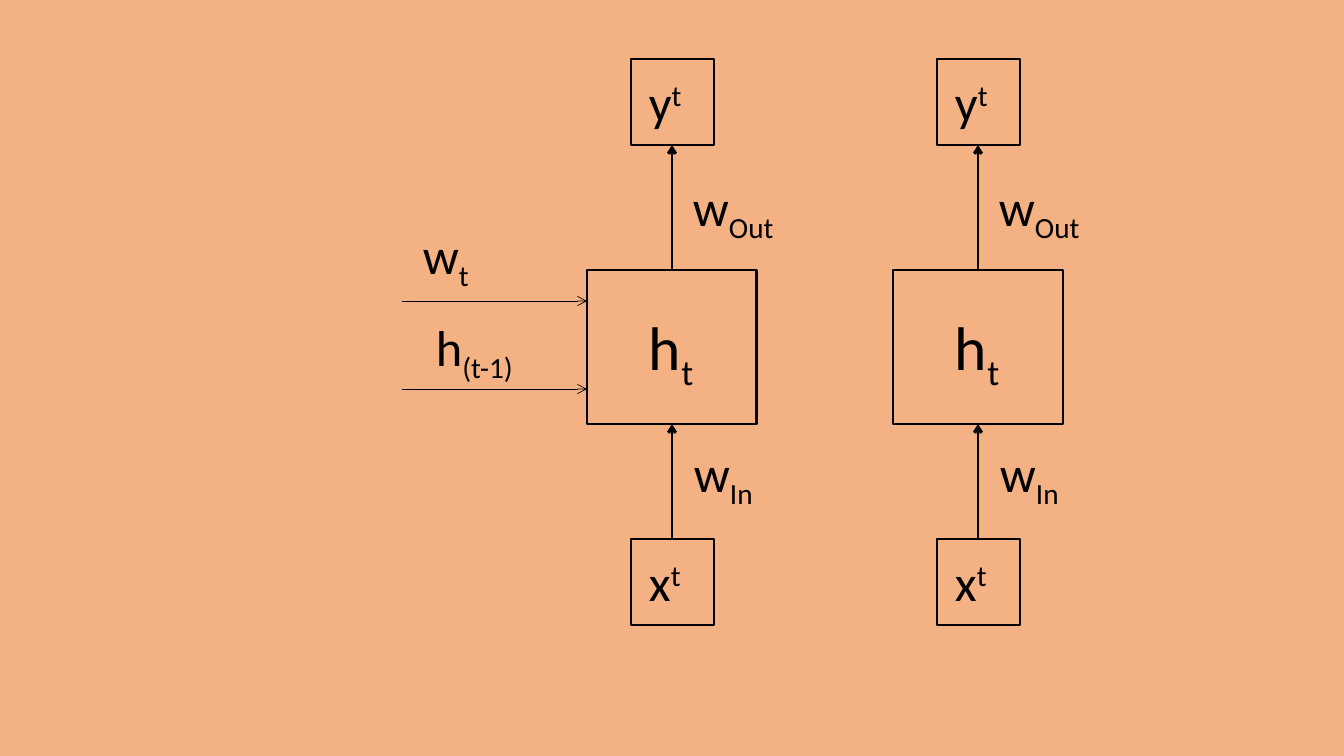
import pptx
import pptx.util
import pptx.dml.color
import pptx.enum.shapes
import pptx.enum.text
import pptx.oxml.ns
import lxml.etree

SCALE = 914400 / 100.8  # EMU per pixel
COLORS = {"background": "F4B183", "ink": "000000"}
SUB, SUPER = -25000, 30000


def px(n):
    return pptx.util.Emu(round(n * SCALE))


def rgb(name):
    return pptx.dml.color.RGBColor.from_string(COLORS[name])


class Diagram:
    font = "Calibri"

    def __init__(self, slide):
        self.slide = slide
        slide.background.fill.solid()
        slide.background.fill.fore_color.rgb = rgb("background")

    def style_line(self, line, width):
        line.color.rgb = rgb("ink")
        line.width = pptx.util.Pt(width)

    def box(self, x, y, w, h):
        s = self.slide.shapes.add_shape(
            pptx.enum.shapes.MSO_SHAPE.RECTANGLE, px(x), px(y), px(w), px(h))
        s.shadow.inherit = False
        s.fill.background()
        self.style_line(s.line, 2)

    def arrow(self, x1, y1, x2, y2, width=2):
        s = self.slide.shapes.add_connector(
            pptx.enum.shapes.MSO_CONNECTOR.STRAIGHT, px(x1), px(y1), px(x2), px(y2))
        self.style_line(s.line, width)
        qn = pptx.oxml.ns.qn
        lxml.etree.SubElement(s.line._get_or_add_ln(), qn("a:tailEnd"), type="arrow")
        lxml.etree.SubElement(s._element.spPr, qn("a:effectLst"))

    def label(self, x, y, base, script, shift, w=159, h=72, size=36):
        s = self.slide.shapes.add_textbox(px(x), px(y), px(w), px(h))
        tf = s.text_frame
        tf.word_wrap = True
        tf.auto_size = pptx.enum.text.MSO_AUTO_SIZE.SHAPE_TO_FIT_TEXT
        p = tf.paragraphs[0]
        for text in (base, script):
            r = p.add_run()
            r.text = text
            r.font.name = self.font
            r.font.size = pptx.util.Pt(size)
            r.font.color.rgb = rgb("ink")
        r._r.get_or_add_rPr().set("baseline", str(shift))

    def cell(self, cx):
        """One recurrent unit centred on cx: input, hidden state, output."""
        # Boxes
        self.box(cx - 85, 270, 170, 154)
        for top in (539, 59):
            self.box(cx - 41, top, 83, 86)
        # Flow upwards
        self.arrow(cx, 539, cx, 424)
        self.arrow(cx, 270, cx, 145)
        # States
        self.label(cx - 33, 304, "h", "t", SUB, w=66, h=85, size=44)
        self.label(cx - 33, 546, "x", "t", SUPER)
        self.label(cx - 33, 66, "y", "t", SUPER)
        # Weights
        self.label(cx + 11, 171, "w", "Out", SUB)
        self.label(cx + 12, 437, "w", "In", SUB)


prs = pptx.Presentation()
prs.slide_width, prs.slide_height = px(1344), px(756)
diagram = Diagram(prs.slides.add_slide(prs.slide_layouts[6]))

# Two units side by side
for center in (672, 978):
    diagram.cell(center)

# Recurrent inputs to the first unit
for y in (301, 389):
    diagram.arrow(402, y, 587, y, width=0.5)
diagram.label(426, 311, "h", "(t-1)", SUB)
diagram.label(413, 219, "w", "t", SUB)

prs.save("out.pptx")
